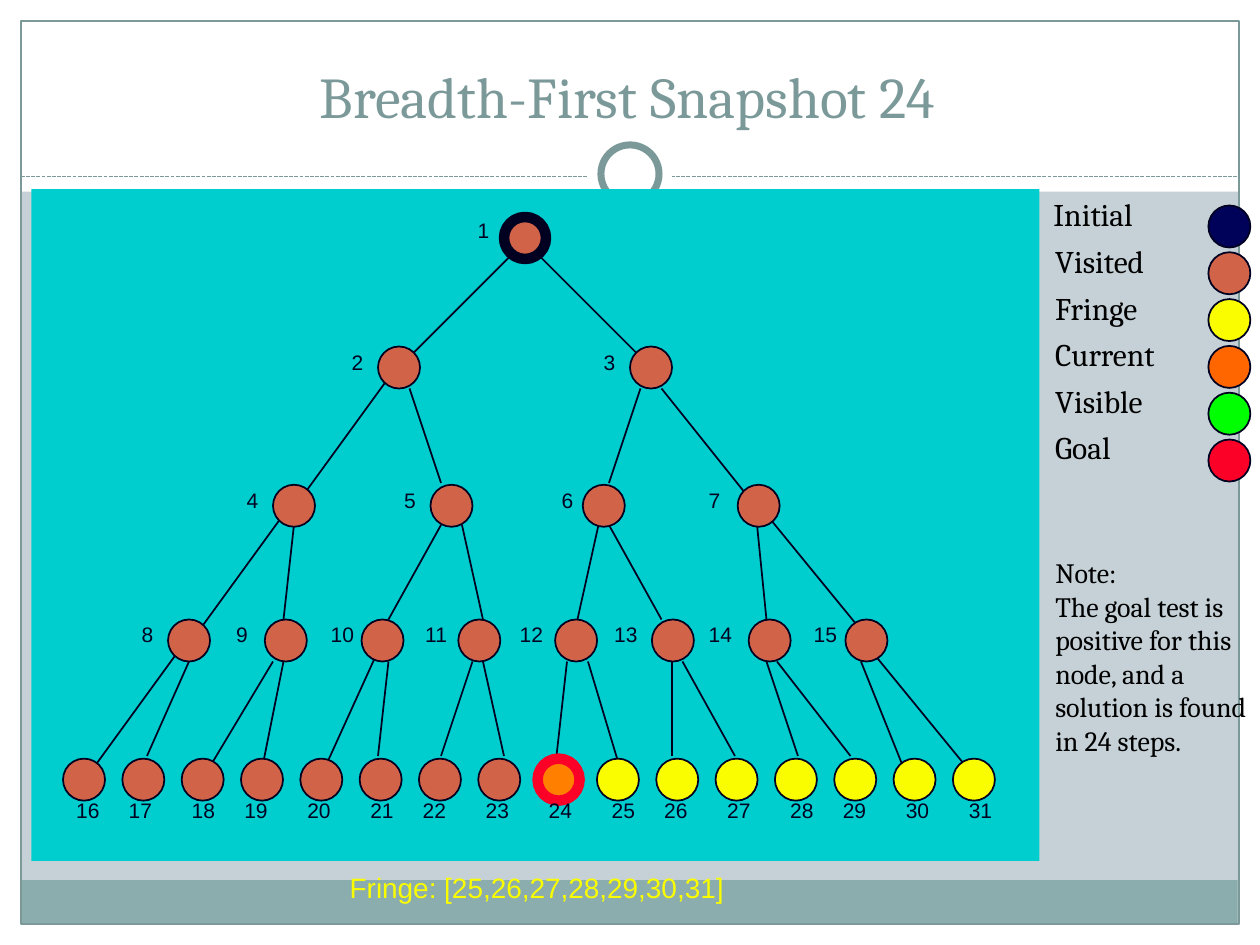
"""Build a slide of a breadth-first search tree with its legend and note."""
from pptx import Presentation
from pptx.dml.color import RGBColor
from pptx.enum.dml import MSO_LINE
from pptx.enum.shapes import MSO_CONNECTOR, MSO_SHAPE
from pptx.enum.text import MSO_ANCHOR, MSO_AUTO_SIZE, PP_ALIGN
from pptx.oxml.ns import qn
from pptx.util import Pt
from lxml.etree import SubElement

INK, WHITE, SAGE = "000020", "FFFFFF", "7C999A"
RUST, YELLOW, RED = "D16349", "FAFD00", "FC0128"
SIZE = 24


def hue(code):
    return RGBColor.from_string(code)


class Page:
    FONTS = {
        "title": ({"name": "Cambria", "size": Pt(33), "bold": False}, SAGE),
        "legend": ({"name": "Cambria", "size": Pt(18)}, "000000"),
        "note": ({"name": "Cambria", "size": Pt(16)}, "000000"),
        "label": ({"name": "Arial", "size": Pt(12)}, INK),
        "fringe": ({"name": "Arial", "size": Pt(16)}, YELLOW),
    }

    def __init__(self, slide):
        self.slide = slide
        self.shapes = slide.shapes

    def stroke(self, line, color, width):
        line.color.rgb = hue(color)
        line.width = Pt(width)

    def shape(self, kind, box, fill=None, color=None, width=1):
        item = self.shapes.add_shape(kind, *map(Pt, box))
        item.shadow.inherit = False
        if fill:
            item.fill.solid()
            item.fill.fore_color.rgb = hue(fill)
        else:
            item.fill.background()
        if color:
            self.stroke(item.line, color, width)
        else:
            item.line.fill.background()

    def rect(self, *box, **look):
        self.shape(MSO_SHAPE.RECTANGLE, box, **look)

    def disc(self, left, top, size=SIZE, **look):
        self.shape(MSO_SHAPE.OVAL, (left, top, size, size), **look)

    def line(self, ends, color=INK, width=1, dash=None):
        item = self.shapes.add_connector(MSO_CONNECTOR.STRAIGHT, *map(Pt, ends))
        self.stroke(item.line, color, width)
        if dash:
            item.line.dash_style = dash
        SubElement(item.element.spPr, qn("a:effectLst"))

    def letter(self, frame, text, style, align, **form):
        form = {"auto_size": MSO_AUTO_SIZE.NONE, **form}
        for key, value in form.items():
            setattr(frame, key, value)
        frame.text = text
        look, color = self.FONTS[style]
        for para in frame.paragraphs:
            para.alignment = align
            for key, value in look.items():
                setattr(para.font, key, value)
            para.font.color.rgb = hue(color)

    def text(self, text, box, style, align=PP_ALIGN.LEFT, wrap=False):
        frame = self.shapes.add_textbox(*map(Pt, box)).text_frame
        self.letter(frame, text, style, align, word_wrap=wrap, margin_left=Pt(3),
                    margin_right=Pt(3), margin_top=0, margin_bottom=0)

    def title(self, text, box):
        item = self.shapes.title
        for key, value in zip(("left", "top", "width", "height"), box):
            setattr(item, key, Pt(value))
        self.letter(item.text_frame, text, "title", PP_ALIGN.CENTER,
                    vertical_anchor=MSO_ANCHOR.BOTTOM, margin_left=Pt(7.2),
                    margin_right=Pt(10), margin_top=Pt(3.6), margin_bottom=Pt(3.6))
        item.element.getparent().append(item.element)


EDGES = [
    (294, 144, 234, 204), (306, 144, 366, 204),
    (222, 216, 174, 282), (234, 222, 252, 276),
    (366, 222, 348, 276), (378, 222, 426, 282),
    (162, 294, 114, 360), (168, 300, 162, 354),
    (252, 300, 222, 354), (264, 300, 276, 354),
    (342, 300, 330, 354), (348, 300, 378, 354),
    (432, 294, 438, 354), (438, 294, 492, 360),
    (102, 372, 54, 438), (108, 378, 84, 432),
    (156, 378, 120, 438), (162, 378, 150, 438),
    (216, 372, 186, 438), (222, 378, 216, 432),
    (270, 378, 252, 432), (276, 378, 288, 432),
    (324, 378, 318, 432), (336, 378, 354, 438),
    (384, 378, 384, 432), (390, 378, 420, 432),
    (438, 378, 456, 432), (444, 378, 486, 432),
    (492, 378, 516, 438), (498, 372, 552, 438),
]
LEVELS = [
    (124, [288], 124.5, [270]),
    (198, [216, 360], 199.5, [198, 342]),
    (277, [156, 246, 333, 421.5], 278.5, [138, 228, 318, 402]),
    (354, [96 + 55.3 * i for i in range(8)], 355,
     [78, 132, 186, 240, 294, 348, 402, 462]),
    (433.5, [36 + 33.9 * i for i in range(16)], 456,
     [37.5, 67.5, 103.5, 133.5, 169.5, 205.5, 235.5, 271.5,
      307.5, 343.5, 373.5, 409.5, 445.5, 475.5, 511.5, 547.5]),
]
LEGEND = [("Initial", "00025A"), ("Visited", RUST), ("Fringe", YELLOW),
          ("Current", "FF6600"), ("Visible", "00FF00"), ("Goal", RED)]
RINGS = {1: {"fill": RUST, "color": INK, "width": 6},
         24: {"fill": "FF8000", "color": RED, "width": 6}}


def frame(page):
    for box in ((0, 528, 720, 12), (0, 0, 720, 109.5),
                (0, 0, 12, 540), (708, 0, 12, 540)):
        page.rect(*box, fill=WHITE)
    page.rect(11.8, 503, 695.5, 24.5, fill="8CADAE")
    page.rect(12, 12, 696, 516, color=SAGE, width=0.75)
    page.line((12, 100.8, 708, 100.8), SAGE, 0.75, MSO_LINE.SQUARE_DOT)
    page.disc(336, 75.6, 48, fill=WHITE)
    page.disc(343.4, 82.8, 33.2, fill=WHITE, color=SAGE, width=4)
    page.rect(18, 108, 576, 384, fill="00CECE")


def tree(page):
    for ends in EDGES:
        page.line(ends)
    num = 0
    for top, lefts, row, marks in LEVELS:
        for left, mark in zip(lefts, marks):
            num += 1
            plain = {"fill": RUST if num < 24 else YELLOW, "color": INK}
            page.disc(left, top, **RINGS.get(num, plain))
            wide = 18.7 if num < 10 else 25.5
            align = PP_ALIGN.LEFT if num < 16 else PP_ALIGN.CENTER
            page.text(str(num), (mark, row, wide, 22), "label", align)


def legend(page):
    for i, (name, color) in enumerate(LEGEND):
        page.disc(690.5, 117.4 + 26.75 * i, fill=color, color=INK)
        page.text(name, (600 if i else 599, 111.6 + 26.65 * i, 80, 34), "legend")


def main():
    deck = Presentation()
    deck.slide_width, deck.slide_height = Pt(720), Pt(540)
    page = Page(deck.slides.add_slide(deck.slide_layouts[5]))
    back = page.slide.background.fill
    back.solid()
    back.fore_color.rgb = hue("C5D1D7")
    frame(page)
    page.title("Breadth-First Snapshot 24", (24, 18, 672, 60))
    tree(page)
    legend(page)
    page.text("Fringe: [25,26,27,28,29,30,31]", (196.8, 497.5, 231, 25), "fringe")
    page.text("Note:\nThe goal test is positive for this node, and a solution "
              "is found in 24 steps.", (600, 317.5, 121, 133), "note", wrap=True)
    deck.save("out.pptx")


if __name__ == "__main__":
    main()
